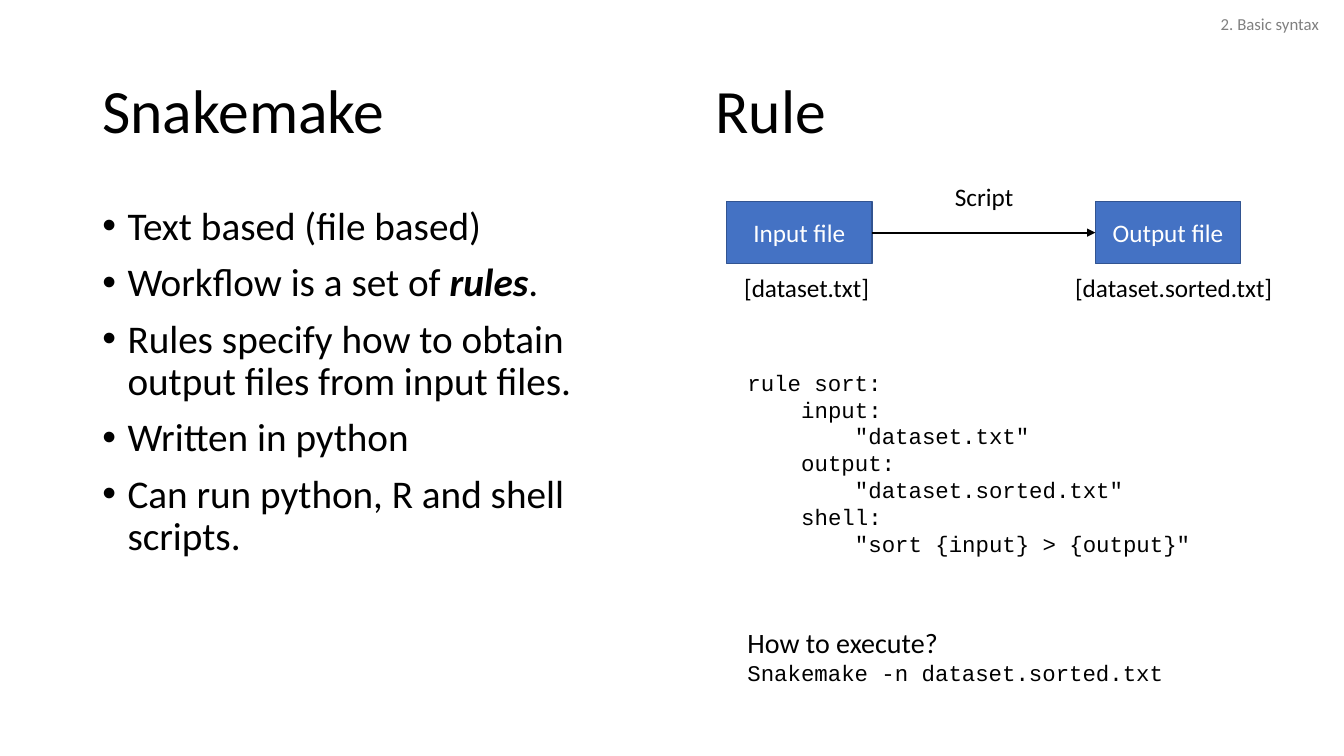
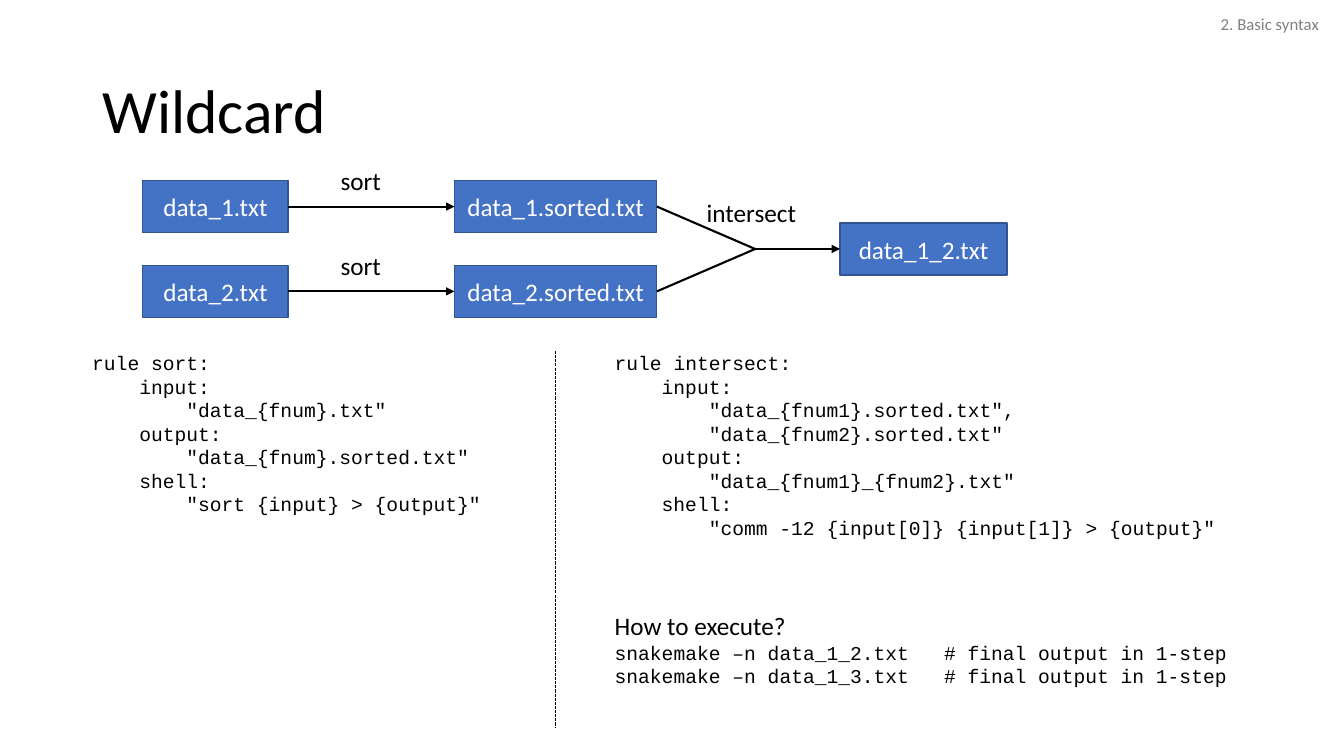
from dataclasses import dataclass
from typing import Optional

from lxml.etree import SubElement as Sub
from pptx import Presentation
from pptx.dml.color import RGBColor
from pptx.enum.dml import MSO_LINE
from pptx.enum.shapes import MSO_CONNECTOR as Conn, MSO_SHAPE as Form
from pptx.enum.text import MSO_ANCHOR as Anchor, PP_ALIGN as Align
from pptx.oxml.ns import qn
from pptx.shapes.autoshape import Shape
from pptx.slide import Slide
from pptx.util import Emu, Inches, Pt

# Shared look
BLACK = RGBColor(0x00, 0x00, 0x00)
WHITE = RGBColor(0xFF, 0xFF, 0xFF)
GREY = RGBColor(0x80, 0x80, 0x80)
BLUE = RGBColor(0x44, 0x72, 0xC4)
NAVY = RGBColor(0x32, 0x54, 0x91)
SANS, MONO = "Calibri", "Courier New"

# Grid of 16 columns and 9 rows of square cells
WIDE, HIGH = Inches(13.33), Inches(7.5)
CELL = WIDE / 16
BOX_W = 1.73
LEFT, RIGHT, MID = Align.LEFT, Align.RIGHT, Align.CENTER


@dataclass
class Area:
    x: float
    y: float
    w: float
    h: float


@dataclass
class Para:
    """A line of text; words between asterisks are bold italic."""
    text: str
    size: float = 18
    font: str = SANS
    depth: int = 0      # indent in steps of four characters
    gap: float = 0      # space before, in points
    stop: int = 0       # tab stop, in characters


@dataclass
class Node:
    name: str
    area: Area


def grid(num: float) -> Emu:
    return Emu(round(num * CELL))


def chars(num: int, size: float) -> Emu:
    """Width of a number of fixed-pitch characters."""
    return Pt(num * size * 0.6)


def fill_text(shape: Shape, paras: list[Para], *, color: RGBColor = BLACK,
              align: Align = LEFT, anchor: Anchor = Anchor.TOP,
              wrap: bool = True, lead: Optional[float] = None,
              dots: bool = False) -> None:
    frame = shape.text_frame
    frame.word_wrap, frame.vertical_anchor = wrap, anchor
    for i, item in enumerate(paras):
        para = frame.paragraphs[0] if i == 0 else frame.add_paragraph()
        para.alignment = align
        para.space_before = Pt(item.gap)
        if lead:
            para.line_spacing = lead
        props = para._p.get_or_add_pPr()
        if dots:
            props.set("marL", str(Inches(0.25)))
            props.set("indent", str(-Inches(0.25)))
            Sub(props, qn("a:buFont"), typeface="Arial")
            Sub(props, qn("a:buChar"), char="•")
        elif item.depth:
            props.set("marL", str(chars(4 * item.depth, item.size)))
            props.set("indent", "0")
        if item.stop:
            tabs = Sub(props, qn("a:tabLst"))
            Sub(tabs, qn("a:tab"), pos=str(chars(item.stop, item.size)),
                algn="l")
        for k, part in enumerate(item.text.split("*")):
            run = para.add_run()
            run.text = part
            font = run.font
            font.name, font.size = item.font, Pt(item.size)
            font.color.rgb = color
            if k % 2:
                font.bold = font.italic = True


def add_text(slide: Slide, area: Area, paras: list[Para], **style) -> None:
    shape = slide.shapes.add_textbox(
        grid(area.x), grid(area.y), grid(area.w), grid(area.h))
    fill_text(shape, paras, **style)


def add_title(slide: Slide, text: str, x: float, w: float) -> None:
    add_text(slide, Area(x, 0.48, w, 1.74), [Para(text, 44)],
             anchor=Anchor.MIDDLE, lead=0.9)


def add_label(slide: Slide, text: str, area: Area) -> None:
    add_text(slide, area, [Para(text)], align=MID, anchor=Anchor.MIDDLE)


def add_box(slide: Slide, node: Node) -> Shape:
    area = node.area
    box = slide.shapes.add_shape(
        Form.RECTANGLE, grid(area.x), grid(area.y),
        grid(area.w), grid(area.h))
    box.shadow.inherit = False
    box.fill.solid()
    box.fill.fore_color.rgb = BLUE
    box.line.color.rgb, box.line.width = NAVY, Pt(1)
    fill_text(box, [Para(node.name)], color=WHITE, align=MID,
              anchor=Anchor.MIDDLE)
    return box


def add_line(slide: Slide, start: Shape | tuple, end: Shape | tuple, *,
             width: float = 1.5, arrow: bool = False,
             dash: bool = False) -> None:
    """Line from a box's right side or a point to a left side or a point."""
    line = slide.shapes.add_connector(Conn.STRAIGHT, 0, 0, 0, 0)
    if isinstance(start, tuple):
        line.begin_x, line.begin_y = map(grid, start)
    else:
        line.begin_connect(start, 3)
    if isinstance(end, tuple):
        line.end_x, line.end_y = map(grid, end)
    else:
        line.end_connect(end, 1)
    line.line.color.rgb, line.line.width = BLACK, Pt(width)
    if dash:
        line.line.dash_style = MSO_LINE.SQUARE_DOT
    if arrow:
        Sub(line.line._get_or_add_ln(), qn("a:tailEnd"), type="triangle")
    Sub(line._element.spPr, qn("a:effectLst"))


def make_rule(name: str, ins: list[str], out: str, shell: str,
              size: float) -> list[Para]:
    """Lines of one workflow rule."""
    lines = [(0, f"rule {name}:"), (1, "input:")]
    lines += [(2, text) for text in ins]
    lines += [(1, "output:"), (2, out), (1, "shell:"), (2, shell)]
    return [Para(text, size, MONO, depth) for depth, text in lines]


def new_slide(deck: Presentation) -> Slide:
    slide = deck.slides.add_slide(deck.slide_layouts[6])
    add_text(slide, Area(12.48, 0.11, 3.34, 0.37),
             [Para("2. Basic syntax", 12)], color=GREY, align=RIGHT)
    return slide


def draw_intro(deck: Presentation) -> None:
    slide = new_slide(deck)
    add_title(slide, "Snakemake", 1.1, 5.17)
    add_title(slide, "Rule", 8.4, 5.17)

    # Key points
    points = ["Text based (file based)",
              "Workflow is a set of *rules*.",
              "Rules specify how to obtain output files from input files.",
              "Written in python",
              "Can run python, R and shell scripts."]
    add_text(slide, Area(1.1, 2.4, 6.8, 5.71),
             [Para(text, 28, gap=10) for text in points],
             lead=0.9, dots=True)

    # Flow from input to output
    first, last = (
        add_box(slide, Node(name, Area(x, 2.4, BOX_W, 0.74)))
        for name, x in (("Input file", 8.65), ("Output file", 13.04)))
    add_line(slide, first, last, arrow=True)
    add_label(slide, "Script", Area(10.85, 1.97, BOX_W, 0.74))
    for name, x, w in (("[dataset.txt]", 8.74, 1.74),
                       ("[dataset.sorted.txt]", 12.68, 2.62)):
        add_text(slide, Area(x, 3.18, w, 0.48), [Para(name)], wrap=False)

    # Code
    code = make_rule("sort", ['"dataset.txt"'], '"dataset.sorted.txt"',
                     '"sort {input} > {output}"', 16)
    code += [Para("How to execute?", 20, gap=49),
             Para("Snakemake -n dataset.sorted.txt", 16, MONO)]
    add_text(slide, Area(8.78, 4.03, 5.66, 4.5), code, anchor=Anchor.MIDDLE)


def draw_wild(deck: Presentation) -> None:
    slide = new_slide(deck)
    add_title(slide, "Wildcard", 1.1, 13.8)

    # Flow: two sorted files meet in one
    rows, high = (2.15, 3.16), 0.62
    mid = sum(rows) / 2
    joint = (8.99, mid + high / 2)
    for num, y in enumerate(rows, 1):
        raw = add_box(slide, Node(f"data_{num}.txt",
                                  Area(1.7, y, BOX_W, high)))
        done = add_box(slide, Node(f"data_{num}.sorted.txt",
                                   Area(5.41, y, 2.41, high)))
        add_line(slide, raw, done, arrow=True)
        add_line(slide, done, joint)
        add_label(slide, "sort", Area(3.43, y - high / 2, BOX_W, high))
    final = add_box(slide, Node("data_1_2.txt", Area(10, mid, 1.99, high)))
    add_line(slide, joint, final, arrow=True)
    add_label(slide, "intersect", Area(8.08, 2.22, BOX_W, high))

    # Code on both sides of a dashed line
    sort = make_rule("sort", ['"data_{fnum}.txt"'],
                     '"data_{fnum}.sorted.txt"',
                     '"sort {input} > {output}"', 14)
    meet = make_rule("intersect", ['"data_{fnum1}.sorted.txt",',
                                   '"data_{fnum2}.sorted.txt"'],
                     '"data_{fnum1}_{fnum2}.txt"',
                     '"comm -12 {input[0]} {input[1]} > {output}"', 14)
    meet.append(Para("How to execute?", 18, gap=51))
    meet += [Para(f"snakemake –n data_1_{num}.txt\t# final output in 1-step",
                  14, MONO, stop=28) for num in (2, 3)]
    add_text(slide, Area(0.98, 4.12, 5.63, 4.9), sort)
    add_text(slide, Area(7.2, 4.12, 8.09, 4.55), meet)
    add_line(slide, (6.61, 4.18), (6.61, 8.66), width=0.75, dash=True)


def main() -> None:
    deck = Presentation()
    deck.slide_width, deck.slide_height = WIDE, HIGH
    draw_intro(deck)
    draw_wild(deck)
    deck.save("out.pptx")


if __name__ == "__main__":
    main()
